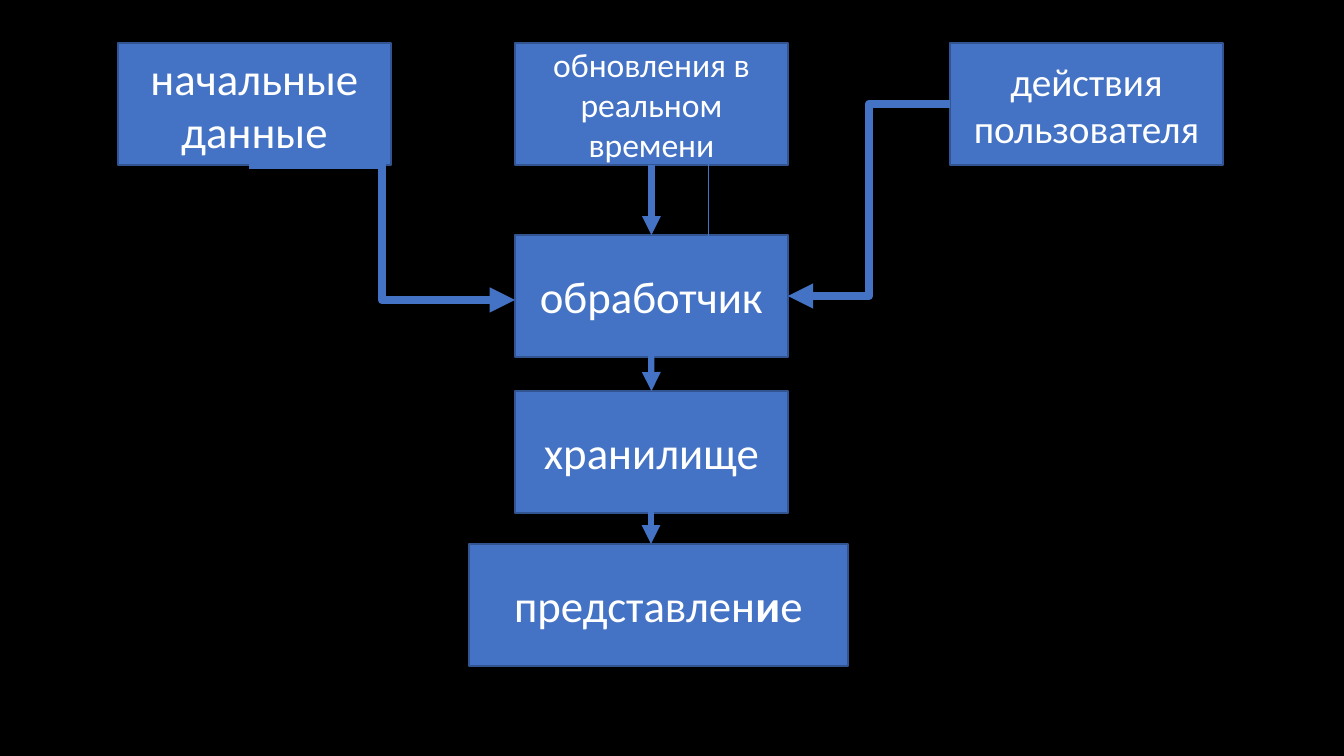
from pptx import Presentation
from pptx.dml.color import RGBColor
from pptx.enum.shapes import MSO_CONNECTOR, MSO_SHAPE
from pptx.enum.text import MSO_ANCHOR, PP_ALIGN
from pptx.oxml.ns import qn
from pptx.util import Emu, Pt
from lxml.etree import SubElement

COLORS = {"background": "000000", "blue": "4472C4", "border": "325491", "text": "FFFFFF"}
BOX_WIDTH, BOX_HEIGHT = 273, 122
TOP, CENTER_X = 43, 515


def px(n):
    return Emu(round(n * 914400 / 100.8))


def color(name):
    return RGBColor.from_string(COLORS[name])


prs = Presentation()
prs.slide_width, prs.slide_height = px(1344), px(756)
slide = prs.slides.add_slide(prs.slide_layouts[6])
slide.background.fill.solid()
slide.background.fill.fore_color.rgb = color("background")

stages = [
    ("initial", 118, TOP, BOX_WIDTH, 32, ["начальные данные"]),
    ("updates", CENTER_X, TOP, BOX_WIDTH, 24, ["обновления в реальном времени"]),
    ("actions", 950, TOP, BOX_WIDTH, 28, ["действия пользователя"]),
    ("handler", CENTER_X, 235, BOX_WIDTH, 32, ["обработчик"]),
    ("store", CENTER_X, 391, BOX_WIDTH, 32, ["хранилище"]),
    ("view", 469, 544, 379, 32, ["представлен", "и", "е"]),
]
boxes = {}
for stage, left, top, width, size, pieces in stages:
    box = slide.shapes.add_shape(MSO_SHAPE.RECTANGLE, px(left), px(top), px(width), px(BOX_HEIGHT))
    box.shadow.inherit = False
    box.fill.solid()
    box.fill.fore_color.rgb = color("blue")
    box.line.color.rgb = color("border")
    box.line.width = Pt(1)
    box.text_frame.word_wrap = True
    box.text_frame.vertical_anchor = MSO_ANCHOR.MIDDLE
    label = box.text_frame.paragraphs[0]
    label.alignment = PP_ALIGN.CENTER
    label.font.name = "Calibri"
    label.font.size = Pt(size)
    label.font.color.rgb = color("text")
    for piece in pieces:
        run = label.add_run()
        run.text = piece
        if piece == "и":
            run.font.bold = True
    boxes[stage] = box

ELBOW, STRAIGHT = MSO_CONNECTOR.ELBOW, MSO_CONNECTOR.STRAIGHT
arrows = [
    (ELBOW, 249, 165, 515, 300, 6, None, None),
    (ELBOW, 950, 104, 788, 296, 6, ("actions", 1), ("handler", 3)),
    (ELBOW, 658, 160, 759, 261, 0.5, None, None),
    (STRAIGHT, 651, 165, 651, 235, 4.5, ("updates", 2), ("handler", 0)),
    (STRAIGHT, 651, 323, 651, 391, 4.5, None, ("store", 0)),
    (STRAIGHT, 651, 475, 651, 544, 4.5, None, None),
]
for kind, x1, y1, x2, y2, weight, source, target in arrows:
    arrow = slide.shapes.add_connector(kind, px(x1), px(y1), px(x2), px(y2))
    if source:
        arrow.begin_connect(boxes[source[0]], source[1])
    if target:
        arrow.end_connect(boxes[target[0]], target[1])
    arrow.line.color.rgb = color("blue")
    arrow.line.width = Pt(weight)
    SubElement(arrow.line._get_or_add_ln(), qn("a:tailEnd"), type="triangle")
    SubElement(arrow._element.spPr, qn("a:effectLst"))

prs.save("out.pptx")
